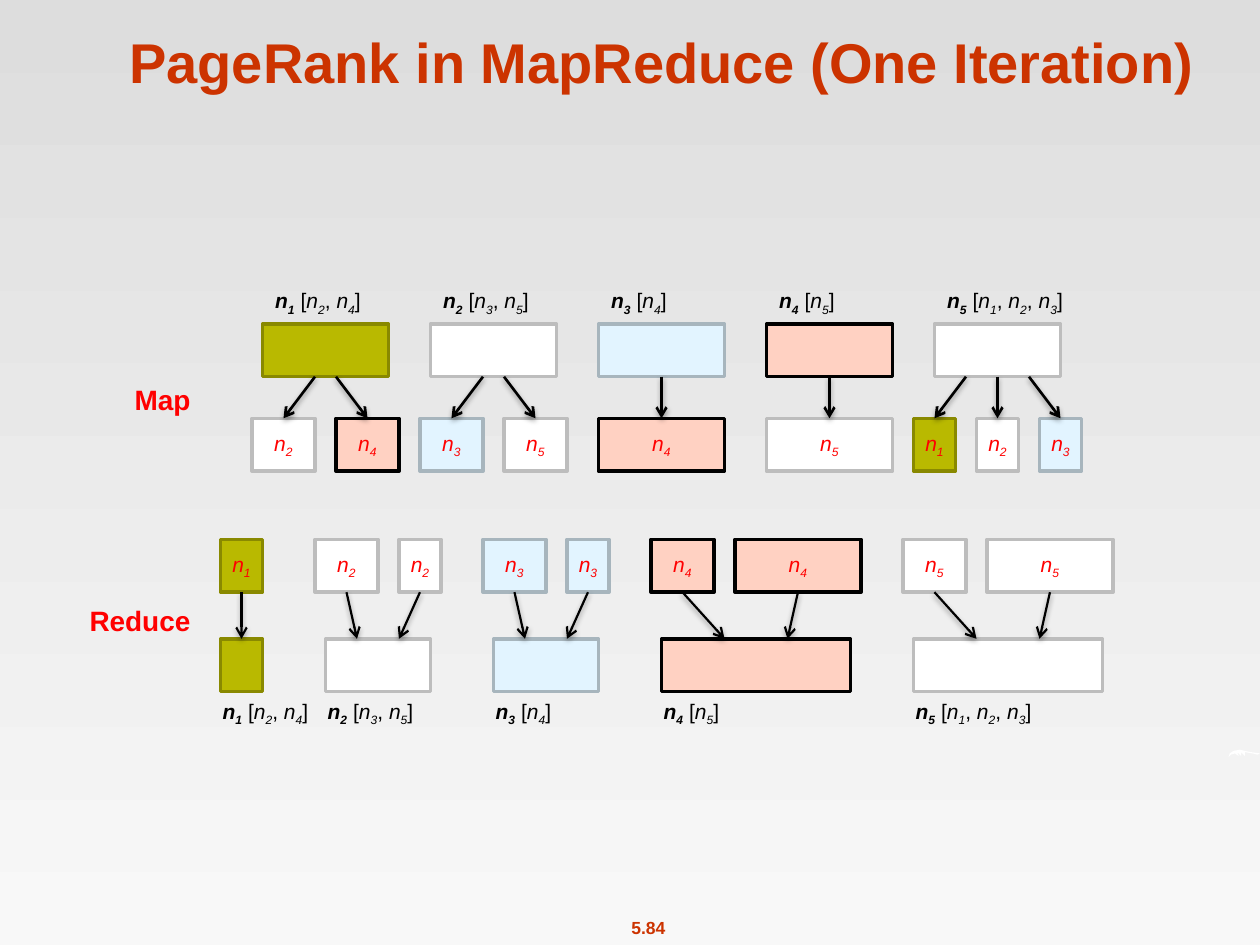
from dataclasses import dataclass
from itertools import groupby

from lxml.etree import SubElement as Sub
from pptx import Presentation
from pptx.dml.color import RGBColor
from pptx.enum.shapes import MSO_CONNECTOR as Conn, MSO_SHAPE as Shape
from pptx.enum.text import MSO_ANCHOR as Anchor, PP_ALIGN as Align
from pptx.oxml.ns import qn
from pptx.util import Inches, Pt

PLAIN_STYLE = "{2D5ABB26-0587-4C30-8999-92F81FD0307C}"
UNIT = 1 / 12  # horizontal grid step, in inches
BOX_H = 0.42
RUST, RED, BLACK, WHITE = "CC3300", "FF0000", "000000", "FFFFFF"


@dataclass
class Node:
    fill: str
    line: str
    links: str


@dataclass
class Box:
    """A node's box, with left edge and width in grid steps."""
    node: int
    x: int
    w: int

    @property
    def mid(self) -> float:
        return self.x + self.w / 2


@dataclass
class Group:
    """A whole node, its shares, and the gap between arrow ends on it."""
    whole: Box
    shares: list[Box]
    gap: int = 0


NODES = {
    1: Node("B9B900", "898900", "n2, n4"),
    2: Node(WHITE, "BDBDBD", "n3, n5"),
    3: Node("E2F4FF", "A7B5BD", "n4"),
    4: Node("FFD1C2", BLACK, "n5"),
    5: Node(WHITE, "BDBDBD", "n1, n2, n3"),
}
MAP = [
    Group(Box(1, 25, 12), [Box(2, 24, 6), Box(4, 32, 6)], 2),
    Group(Box(2, 41, 12), [Box(3, 40, 6), Box(5, 48, 6)], 2),
    Group(Box(3, 57, 12), [Box(4, 57, 12)]),
    Group(Box(4, 73, 12), [Box(5, 73, 12)]),
    Group(Box(5, 89, 12), [Box(1, 87, 4), Box(2, 93, 4), Box(3, 99, 4)], 3),
]
REDUCE = [
    Group(Box(1, 21, 4), [Box(1, 21, 4)]),
    Group(Box(2, 31, 10), [Box(2, 30, 6), Box(2, 38, 4)], 4),
    Group(Box(3, 47, 10), [Box(3, 46, 6), Box(3, 54, 4)], 4),
    Group(Box(4, 63, 18), [Box(4, 62, 6), Box(4, 70, 12)], 6),
    Group(Box(5, 87, 18), [Box(5, 86, 6), Box(5, 94, 12)], 6),
]
SWOOSH = [(9.75, 6.01), (9.76, 5.98), (9.79, 5.96), (9.84, 5.95), (9.88, 5.96),
          (9.93, 5.97), (10, 5.98), (9.98, 5.99), (9.94, 5.98), (9.88, 5.97),
          (9.88, 6), (9.85, 5.97), (9.85, 6), (9.82, 5.97), (9.83, 6),
          (9.8, 5.98), (9.77, 5.99)]


def color(code: str) -> RGBColor:
    return RGBColor.from_string(code)


def kind(char: str) -> str:
    return "sub" if char.isdigit() else "name" if char == "n" else "plain"


def write(frame, text: str, *, size: float = 12, ink: str = BLACK, bold: bool = False,
          align=Align.LEFT, nodes: bool = False, head: int = 0) -> None:
    """Fill a frame; nodes sets names in italics, head counts the bold runs."""
    para = frame.paragraphs[0]
    para.alignment = align
    bits = [(k, "".join(g)) for k, g in groupby(text, kind)] if nodes else [("plain", text)]
    for i, (sort, bit) in enumerate(bits):
        run = para.add_run()
        run.text = bit
        font = run.font
        font.name, font.size = "Arial", Pt(size)
        font.color.rgb = color(ink)
        font.bold = bold or i < head
        font.italic = sort != "plain"
        if sort == "sub":
            run._r.get_or_add_rPr().set("baseline", "-25000")


def add_text(slide, text: str, x: float, y: float, w: float, h: float, **style) -> None:
    frame = slide.shapes.add_textbox(*map(Inches, (x, y, w, h))).text_frame
    frame.word_wrap = False
    write(frame, text, **style)


def add_box(slide, box: Box, y: float, named: bool) -> None:
    node = NODES[box.node]
    rect = slide.shapes.add_shape(Shape.RECTANGLE, Inches(box.x * UNIT), Inches(y),
                                  Inches(box.w * UNIT), Inches(BOX_H))
    rect.shadow.inherit = False
    rect.fill.solid()
    rect.fill.fore_color.rgb = color(node.fill)
    rect.line.color.rgb = color(node.line)
    rect.line.width = Pt(2)
    if named:
        frame = rect.text_frame
        frame.margin_left = frame.margin_right = frame.margin_top = frame.margin_bottom = 0
        frame.word_wrap = False
        frame.vertical_anchor = Anchor.MIDDLE
        write(frame, f"n{box.node}", ink=RED, align=Align.CENTER, nodes=True)


def add_arrow(slide, x1: float, y1: float, x2: float, y2: float, width: float) -> None:
    line = slide.shapes.add_connector(Conn.STRAIGHT, Inches(x1 * UNIT), Inches(y1),
                                      Inches(x2 * UNIT), Inches(y2))
    line.line.color.rgb = color(BLACK)
    line.line.width = Pt(width)
    props = line._element.spPr
    Sub(props.find(qn("a:ln")), qn("a:tailEnd"), type="arrow")
    effects = Sub(props, qn("a:effectLst"))
    shade = Sub(effects, qn("a:outerShdw"), blurRad=str(Pt(3.1)), dist=str(Pt(1.6)),
                dir="5400000", rotWithShape="0")
    Sub(Sub(shade, qn("a:srgbClr"), val=BLACK), qn("a:alpha"), val="38000")


def add_label(slide, node: int, x: int, y: float) -> None:
    shape = slide.shapes.add_table(1, 1, Inches(x * UNIT), Inches(y), Inches(1.58), Inches(0.31))
    table = shape.table
    table.first_row = table.horz_banding = False
    for style in shape._element.iter(qn("a:tableStyleId")):
        style.text = PLAIN_STYLE
    cell = table.cell(0, 0)
    cell.fill.background()
    write(cell.text_frame, f"n{node} [{NODES[node].links}]", nodes=True, head=2)


def add_stage(slide, groups: list[Group], whole_y: float, share_y: float,
              label_y: float, shift: int, width: float) -> None:
    """Draw one stage; arrows run downwards between wholes and shares."""
    for group in groups:
        whole = group.whole
        add_label(slide, whole.node, whole.x + shift, label_y)
        add_box(slide, whole, whole_y, named=False)
        for i, share in enumerate(group.shares):
            add_box(slide, share, share_y, named=True)
            port = whole.mid + (i - (len(group.shares) - 1) / 2) * group.gap
            ends = sorted([(whole_y, port), (share_y, share.mid)])
            (top, start), (low, end) = ends
            add_arrow(slide, start, top + BOX_H, end, low, width)


def add_swoosh(slide) -> None:
    points = [(Inches(x), Inches(y)) for x, y in SWOOSH]
    pen = slide.shapes.build_freeform(*points[0])
    pen.add_line_segments(points[1:], close=True)
    shape = pen.convert_to_shape()
    shape.shadow.inherit = False
    shape.fill.solid()
    shape.fill.fore_color.rgb = color(WHITE)
    shape.line.fill.background()


def main() -> None:
    deck = Presentation()
    deck.slide_width, deck.slide_height = Inches(10), Inches(7.5)
    slide = deck.slides.add_slide(deck.slide_layouts[5])

    fill = slide.background.fill
    fill.gradient()
    fill.gradient_angle = 270
    for stop, place, code in zip(fill.gradient_stops, (0, 1), ("DDDDDD", "F8F8F8")):
        stop.position = place
        stop.color.rgb = color(code)

    title = slide.shapes.title
    title.left, title.top, title.width, title.height = map(Inches, (0.84, 0.13, 8.83, 0.67))
    title.text_frame.vertical_anchor = Anchor.BOTTOM
    write(title.text_frame, "PageRank in MapReduce (One Iteration)", size=32, ink=RUST,
          bold=True, align=Align.CENTER)

    add_swoosh(slide)
    add_stage(slide, MAP, 2.57, 3.32, label_y=2.25, shift=0, width=1.5)
    add_stage(slide, REDUCE, 5.07, 4.28, label_y=5.51, shift=-1, width=1.25)
    side = dict(size=16, ink=RED, bold=True, align=Align.RIGHT)
    add_text(slide, "Map", 0.96, 2.99, 0.65, 0.37, **side)
    add_text(slide, "Reduce", 0.6, 4.74, 1.01, 0.37, **side)
    add_text(slide, "5.84", 4.9, 7.23, 0.49, 0.27, size=10, ink=RUST, bold=True,
             align=Align.CENTER)
    deck.save("out.pptx")


if __name__ == "__main__":
    main()
